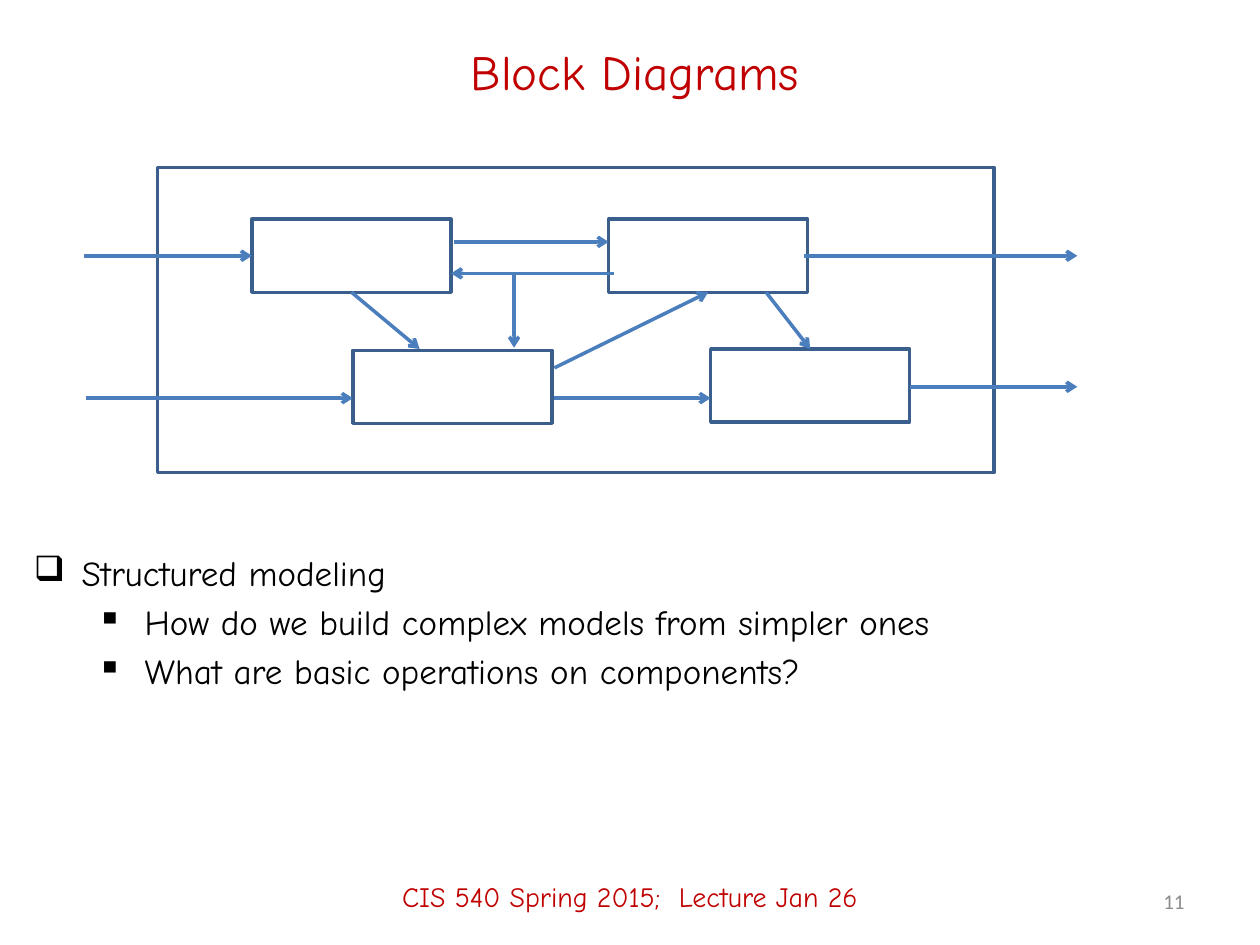
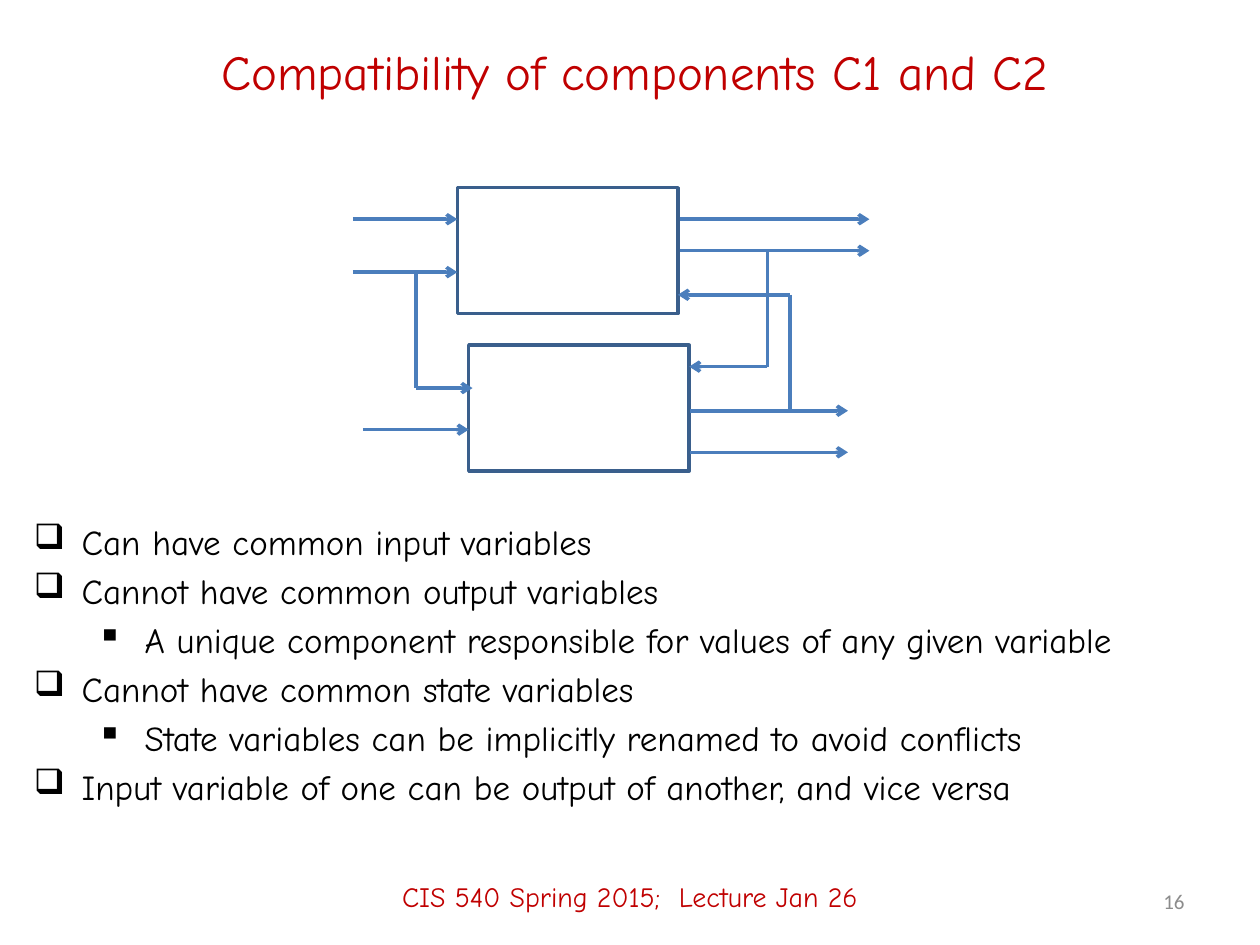
from lxml import etree
from pptx import Presentation
from pptx.dml.color import RGBColor
from pptx.enum.shapes import MSO_CONNECTOR, MSO_SHAPE
from pptx.enum.text import MSO_ANCHOR as Anchor, PP_ALIGN as Align
from pptx.oxml.ns import qn
from pptx.util import Inches, Pt

COLORS = {"red": "C00000", "text": "000000", "number": "8C8C8C",
          "box": "3A5F8C", "wire": "4B7EBC"}
FONT = "Comic Neue"
FOOTER = "CIS 540 Spring 2015;  Lecture Jan 26"
BULLETS = ["❑", "▪"]  # one per outline level
BLOCK = (1.58, 0.58)  # small block on the block diagram slide
COMPONENT = (1.75, 1)  # C1 and C2

# Boxes: left, top, width, height. Wires: x1, y1, x2, y2 (arrow at the end).
# Outline: level, text.
SLIDES = [
    {
        "title": "Block Diagrams",
        "number": "11",
        "boxes": [(2, 1.74, *BLOCK), (4.83, 1.74, *BLOCK),
                  (2.8, 2.78, *BLOCK), (5.64, 2.77, *BLOCK),
                  (1.25, 1.33, 6.64, 2.42)],
        "arrows": [
            (0.67, 2.03, 2, 2.03), (0.68, 3.16, 2.8, 3.16),
            (3.6, 1.92, 4.83, 1.92), (4.87, 2.17, 3.58, 2.17),
            (4.08, 2.17, 4.08, 2.76), (4.4, 3.16, 5.64, 3.16),
            (2.79, 2.32, 3.33, 2.77), (4.4, 2.92, 5.62, 2.32),
            (6.08, 2.32, 6.43, 2.77),
            (6.38, 2.03, 8.55, 2.03), (7.22, 3.07, 8.55, 3.07),
        ],
        "branches": [],
        "outline_at": (0.17, 4.33, 9.67, 1.75),
        "outline": [
            (0, "Structured modeling"),
            (1, "How do we build complex models from simpler ones"),
            (1, "What are basic operations on components?"),
        ],
    },
    {
        "title": "Compatibility of components C1 and C2",
        "number": "16",
        "boxes": [(3.63, 1.49, *COMPONENT), (3.72, 2.74, *COMPONENT)],
        "arrows": [
            (2.8, 1.74, 3.63, 1.74), (2.8, 2.16, 3.63, 2.16),
            (3.3, 3.08, 3.75, 3.08), (2.88, 3.41, 3.72, 3.41),
            (5.4, 1.74, 6.9, 1.74), (5.4, 1.99, 6.9, 1.99),
            (6.27, 2.34, 5.38, 2.34), (6.09, 2.91, 5.47, 2.91),
            (5.48, 3.26, 6.73, 3.26), (5.48, 3.59, 6.73, 3.59),
        ],
        "branches": [(3.3, 2.16, 3.3, 3.08), (6.09, 1.99, 6.09, 2.91),
                     (6.27, 2.34, 6.27, 3.26)],
        "outline_at": (0.17, 4.08, 9.83, 2.67),
        "outline": [
            (0, "Can have common input variables"),
            (0, "Cannot have common output variables"),
            (1, "A unique component responsible for values of any given variable"),
            (0, "Cannot have common state variables"),
            (1, "State variables can be implicitly renamed to avoid conflicts"),
            (0, "Input variable of one can be output of another, and vice versa"),
        ],
    },
]


def add_run(paragraph, text, size, color, font=FONT):
    run = paragraph.add_run()
    run.text = text
    run.font.name = font
    run.font.size = Pt(size)
    run.font.color.rgb = RGBColor.from_string(COLORS[color])


def add_wire(slide, ends, arrow):
    wire = slide.shapes.add_connector(MSO_CONNECTOR.STRAIGHT, *map(Inches, ends))
    wire.line.color.rgb = RGBColor.from_string(COLORS["wire"])
    wire.line.width = Pt(2)
    if arrow:
        etree.SubElement(wire.line._get_or_add_ln(), qn("a:tailEnd"), type="arrow")
    etree.SubElement(wire._element.spPr, qn("a:effectLst"))


deck = Presentation()
deck.slide_width, deck.slide_height = Inches(10), Inches(7.5)

for content in SLIDES:
    slide = deck.slides.add_slide(deck.slide_layouts[5])

    # Title
    title = slide.shapes.title
    title.left, title.top, title.width, title.height = map(
        Inches, (0.75, 0.17, 8.58, 0.78))
    title.text_frame.vertical_anchor = Anchor.MIDDLE
    heading = title.text_frame.paragraphs[0]
    heading.alignment = Align.CENTER
    add_run(heading, content["title"], 28, "red")

    # Diagram
    for place in content["boxes"]:
        box = slide.shapes.add_shape(MSO_SHAPE.RECTANGLE, *map(Inches, place))
        box.shadow.inherit = False
        box.fill.background()
        box.line.color.rgb = RGBColor.from_string(COLORS["box"])
        box.line.width = Pt(2)
    for ends in content["arrows"]:
        add_wire(slide, ends, arrow=True)
    for ends in content["branches"]:
        add_wire(slide, ends, arrow=False)

    # Bulleted outline
    outline = slide.shapes.add_textbox(
        *map(Inches, content["outline_at"])).text_frame
    outline.word_wrap = True
    for i, (level, text) in enumerate(content["outline"]):
        point = outline.add_paragraph() if i else outline.paragraphs[0]
        point.level = level
        props = point._p.get_or_add_pPr()
        props.set("marL", str(Inches(0.38 + 0.5 * level)))
        props.set("indent", str(Inches(-0.38)))
        if i:
            before = etree.SubElement(props, qn("a:spcBef"))
            etree.SubElement(before, qn("a:spcPct"), val="20000")
        etree.SubElement(props, qn("a:buChar"), char=BULLETS[level])
        add_run(point, text, 20, "text")

    # Footer and slide number
    for place, text, align, style in [
        ((0, 6.72, 10, 0.78), FOOTER, Align.CENTER, (16, "red")),
        ((7.17, 6.95, 2.33, 0.4), content["number"], Align.RIGHT,
         (12, "number", "Calibri")),
    ]:
        band = slide.shapes.add_textbox(*map(Inches, place)).text_frame
        band.word_wrap = True
        band.vertical_anchor = Anchor.MIDDLE
        band.paragraphs[0].alignment = align
        add_run(band.paragraphs[0], text, *style)

deck.save("out.pptx")
